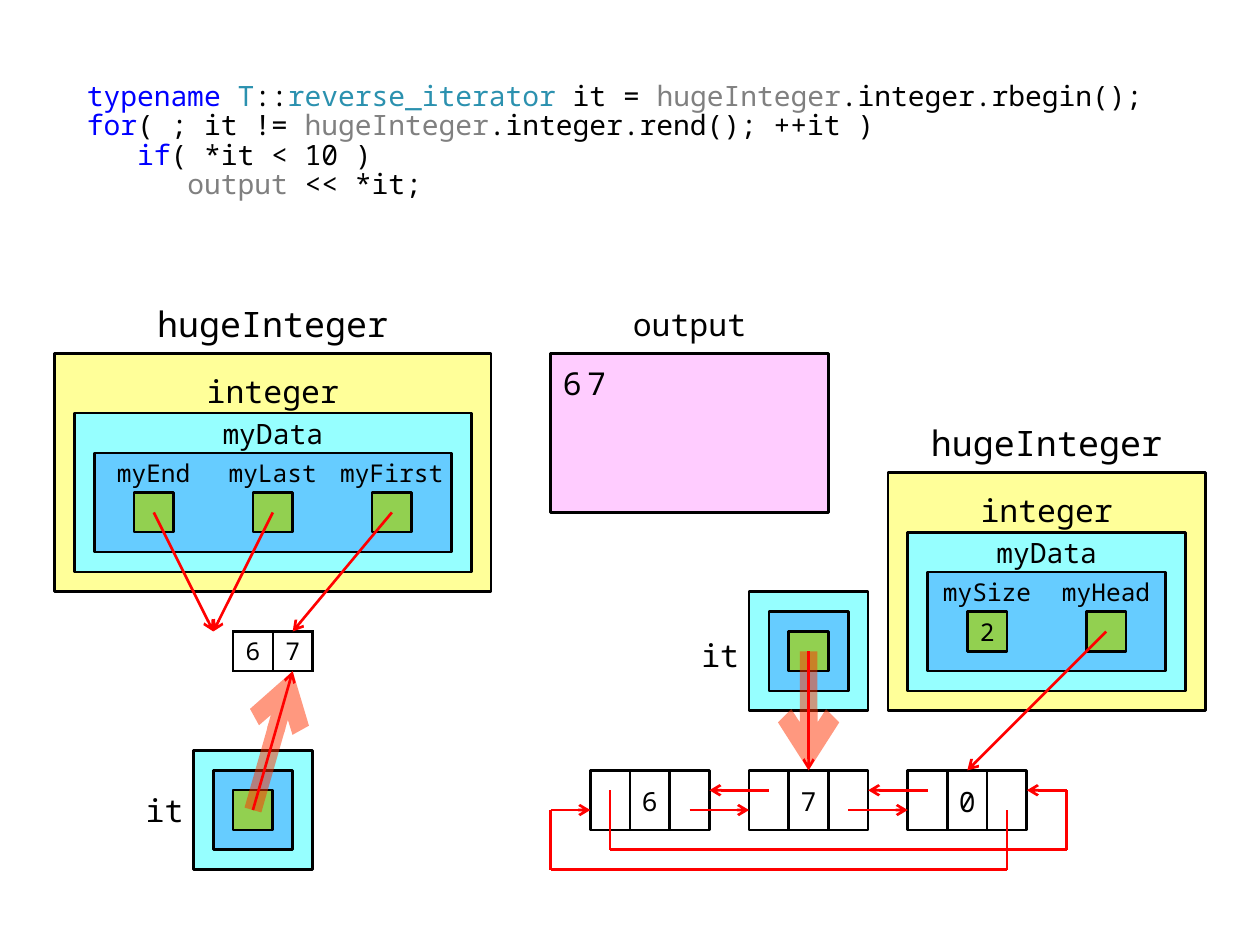
from dataclasses import dataclass

from lxml.etree import SubElement
from pptx import Presentation
from pptx.dml.color import RGBColor
from pptx.enum.shapes import MSO_CONNECTOR, MSO_SHAPE
from pptx.enum.text import MSO_ANCHOR, MSO_AUTO_SIZE, PP_ALIGN
from pptx.oxml.ns import qn
from pptx.util import Cm, Pt


@dataclass(frozen=True)
class Theme:
    font: str = "Noto Sans Mono"
    text: str = "000000"
    keyword: str = "0000FF"
    type_name: str = "2B91AF"
    muted: str = "808080"
    yellow: str = "FFFF99"
    cyan: str = "96FFFF"
    blue: str = "66CCFF"
    green: str = "92D050"
    pink: str = "FFCCFF"
    arrow: str = "FF0000"
    trail: str = "FF3300"
    heading: int = 20
    label: int = 18
    code: int = 16
    node: int = 15
    small: int = 14
    line: float = 1.5
    trail_line: int = 10


T = Theme()
UNIT, LEFT, TOP = 0.4, 1.1, 5.93
PLAIN = (0.25, 0.13, 0.25, 0.13)
TIGHT = (0, 0, 0, 0)
NODE = (0, 0.15, 0, 0.1)

CODE = [
    [("typename ", T.keyword), ("T", T.type_name), ("::", T.text),
     ("reverse_iterator", T.type_name), (" it = ", T.text),
     ("hugeInteger", T.muted), (".integer.rbegin();", T.text)],
    [("for", T.keyword), ("( ; it != ", T.text), ("hugeInteger", T.muted),
     (".integer.rend(); ++it )", T.text)],
    [("   ", T.text), ("if", T.keyword), ("( *it < 10 )", T.text)],
    [("      ", T.text), ("output", T.muted), (" << *it;", T.text)],
]


def rgb(value):
    return RGBColor.from_string(value)


def grid(x, y):
    return Cm(LEFT + UNIT * x), Cm(TOP + UNIT * y)


def area(x, y, w, h):
    return (*grid(x, y), Cm(UNIT * w), Cm(UNIT * h))


def add_run(p, text, size, color=T.text):
    r = p.add_run()
    r.text = text
    r.font.name = T.font
    r.font.size = Pt(size)
    r.font.color.rgb = rgb(color)
    return r


def set_frame(tf, ins, anchor):
    tf.word_wrap = True
    tf.vertical_anchor = anchor
    tf.margin_left, tf.margin_top, tf.margin_right, tf.margin_bottom = map(Cm, ins)


def write(sp, text, size, ins=PLAIN, align=PP_ALIGN.CENTER, anchor=MSO_ANCHOR.MIDDLE):
    set_frame(sp.text_frame, ins, anchor)
    p = sp.text_frame.paragraphs[0]
    p.alignment = align
    return add_run(p, text, size)


def add_label(s, x, y, w, h, text, size, ins=PLAIN, align=PP_ALIGN.CENTER):
    write(s.shapes.add_textbox(*area(x, y, w, h)), text, size, ins, align)


def add_box(s, x, y, w, h, fill=None, kind=MSO_SHAPE.FLOWCHART_PROCESS):
    sp = s.shapes.add_shape(kind, *area(x, y, w, h))
    sp.shadow.inherit = False
    if fill:
        sp.fill.solid()
        sp.fill.fore_color.rgb = rgb(fill)
    else:
        sp.fill.background()
    sp.line.color.rgb = rgb(T.text)
    sp.line.width = Pt(T.line)
    return sp


def add_cell(s, x, y, h=2, fill=None):
    return add_box(s, x, y, 2, h, fill, MSO_SHAPE.RECTANGLE)


def add_line(s, start, end, head=True, color=T.arrow, width=T.line, alpha=None):
    c = s.shapes.add_connector(MSO_CONNECTOR.STRAIGHT, *grid(*start), *grid(*end))
    c.line.color.rgb = rgb(color)
    c.line.width = Pt(width)
    ln = c.line._get_or_add_ln()
    if alpha:
        SubElement(ln.find(".//" + qn("a:srgbClr")), qn("a:alpha"), val=str(alpha * 1000))
    if head:
        SubElement(ln, qn("a:tailEnd"), type="arrow")
    SubElement(c._element.spPr, qn("a:effectLst"))


def add_route(s, points):
    for i in range(len(points) - 1):
        add_line(s, points[i], points[i + 1], head=i == len(points) - 2)


def add_code(s):
    sp = s.placeholders[1]
    sp.left, sp.top, sp.width, sp.height = Cm(1.5), Cm(1.53), Cm(22.4), Cm(3.2)
    tf = sp.text_frame
    set_frame(tf, PLAIN, MSO_ANCHOR.TOP)
    tf.auto_size = MSO_AUTO_SIZE.NONE
    for i, line in enumerate(CODE):
        p = tf.add_paragraph() if i else tf.paragraphs[0]
        pPr = p._p.get_or_add_pPr()
        pPr.set("marL", "0")
        pPr.set("indent", "0")
        SubElement(pPr, qn("a:buNone"))
        p.alignment = PP_ALIGN.LEFT
        p.space_before = p.space_after = Pt(0)
        p.line_spacing = 0.88
        for text, color in line:
            add_run(p, text, T.code, color)


def add_huge_integer(s, x, y, fields):
    inner = 6 * len(fields)
    mid = x + 2 + inner / 2
    add_label(s, mid - 7, y - 3, 14, 3, "hugeInteger", T.heading)
    add_box(s, x, y, inner + 4, 12, T.yellow)
    add_box(s, x + 1, y + 3, inner + 2, 8, T.cyan)
    add_box(s, x + 2, y + 5, inner, 5, T.blue)
    add_label(s, mid - 4, y, 8, 3, "integer", T.label, (0.2, 0.3, 0.2, 0))
    add_label(s, mid - 4, y + 3, 8, 2, "myData", T.code, (0.2, 0, 0.2, 0))
    for i, (name, value) in enumerate(fields):
        left = x + 2 + 6 * i
        add_label(s, left, y + 5, 6, 2, name, T.small, (0.1, 0.13, 0.1, 0.13))
        cell = add_cell(s, left + 2, y + 7, fill=T.green)
        if value:
            write(cell, value, T.small, TIGHT)


def add_iterator(s, x, y, target, bottom):
    add_label(s, x - 4, y + 1, 4, 4, "it", T.label, (0.2, 0.13, 0.2, bottom), PP_ALIGN.RIGHT)
    add_box(s, x, y, 6, 6, T.cyan)
    add_box(s, x + 1, y + 1, 4, 4, T.blue)
    add_cell(s, x + 2, y + 2, fill=T.green)
    core = (x + 3, y + 3)
    add_line(s, core, target, color=T.trail, width=T.trail_line, alpha=50)
    add_line(s, core, target)


def add_node(s, x, y, value, size):
    for i in range(3):
        cell = add_cell(s, x + 2 * i, y, h=3)
        if i == 1:
            write(cell, value, size, NODE)


def add_array(s, x, y, values):
    tbl = s.shapes.add_table(1, len(values), *area(x, y, 2 * len(values), 2)).table
    tbl.first_row = tbl.horz_banding = False
    for cell, value in zip(tbl.iter_cells(), values):
        cell.margin_left = cell.margin_right = cell.margin_top = cell.margin_bottom = 0
        cell.vertical_anchor = MSO_ANCHOR.MIDDLE
        p = cell.text_frame.paragraphs[0]
        p.alignment = PP_ALIGN.CENTER
        add_run(p, value, T.small)
        tcPr = cell._tc.get_or_add_tcPr()
        for side in ("a:lnL", "a:lnR", "a:lnT", "a:lnB"):
            ln = SubElement(tcPr, qn(side), w=str(Pt(T.line)))
            SubElement(SubElement(ln, qn("a:solidFill")), qn("a:srgbClr"), val=T.text)
        cell.fill.background()


def add_output(s):
    add_label(s, 28, 0, 8, 3, "output", T.label)
    screen = add_box(s, 25, 3, 14, 8, T.pink)
    r = write(screen, "67", T.label, (0.25, 0.2, 0.25, 0.13), PP_ALIGN.LEFT, MSO_ANCHOR.TOP)
    r.font._element.set("spc", "300")


def add_list(s):
    for x, value, size in ((27, "6", T.node), (35, "7", T.node), (43, "0", T.code)):
        add_node(s, x, 24, value, size)
    for x in (27, 35):
        add_line(s, (x + 9, 25), (x + 6, 25))
        add_line(s, (x + 5, 26), (x + 8, 26))
    add_route(s, [(48, 26), (48, 29), (25, 29), (25, 26), (27, 26)])
    add_route(s, [(28, 25), (28, 28), (51, 28), (51, 25), (49, 25)])


def main():
    prs = Presentation()
    prs.slide_width, prs.slide_height = Cm(25.4), Cm(19.05)
    s = prs.slides.add_slide(prs.slide_layouts[1])
    title = s.shapes.title._element
    title.getparent().remove(title)
    add_code(s)
    add_output(s)
    add_huge_integer(s, 0, 3, [("myEnd", ""), ("myLast", ""), ("myFirst", "")])
    add_huge_integer(s, 42, 9, [("mySize", "2"), ("myHead", "")])
    add_array(s, 9, 17, ["6", "7"])
    add_list(s)
    for start, end in (((17, 11), (12, 17)), ((11, 11), (8, 17)),
                       ((5, 11), (8, 17)), ((53, 17), (46, 24))):
        add_line(s, start, end)
    add_iterator(s, 7, 23, (12, 19), 0.13)
    add_iterator(s, 35, 15, (38, 24), 0)
    prs.save("out.pptx")


if __name__ == "__main__":
    main()
